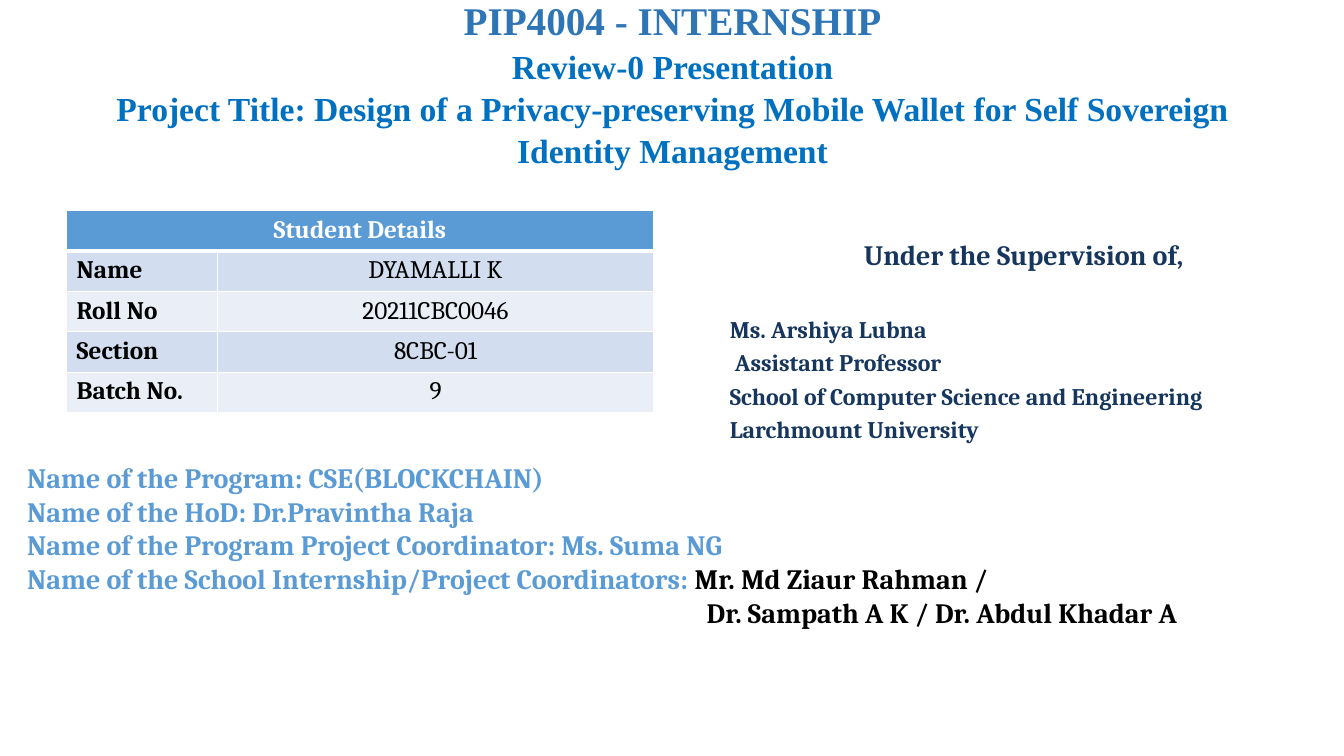
from lxml.etree import SubElement
from pptx import Presentation
from pptx.dml.color import RGBColor
from pptx.enum.text import MSO_ANCHOR, PP_ALIGN
from pptx.oxml.ns import qn
from pptx.util import Inches, Pt

BODY_FONT, TITLE_FONT = "Cambria", "Times New Roman"
NAVY, SKY, BLACK, WHITE = "17365D", "5B9BD5", "000000", "FFFFFF"
HEADING_BLUE, TITLE_BLUE = "2E75B6", "0070C0"
BANDS = ["D2DEEF", "EAEFF7"]


def color(value):
    return RGBColor.from_string(value)


class SlideBuilder:
    """Places elements on one slide; lengths are percent of its size."""

    def __init__(self, deck):
        self.deck = deck
        self.slide = deck.slides.add_slide(deck.slide_layouts[6])

    def across(self, share):
        return round(self.deck.slide_width * share / 100)

    def down(self, share):
        return round(self.deck.slide_height * share / 100)

    def area(self, left, top, width, height):
        return self.across(left), self.down(top), self.across(width), self.down(height)

    def add_span(self, para, text, size, shade, font=BODY_FONT, bold=True):
        span = para.add_run()
        span.text = text
        span.font.name, span.font.size, span.font.bold = font, Pt(size), bold
        span.font.color.rgb = color(shade)

    def text(self, place, lines, font=BODY_FONT, anchor=MSO_ANCHOR.TOP, bottom=0.05):
        """Each line is (runs, options); each run is (text, size, colour)."""
        frame = self.slide.shapes.add_textbox(*self.area(*place)).text_frame
        frame.word_wrap, frame.vertical_anchor = True, anchor
        frame.margin_bottom = Inches(bottom)
        for index, (runs, options) in enumerate(lines):
            para = frame.add_paragraph() if index else frame.paragraphs[0]
            para.alignment = options.get("align", PP_ALIGN.LEFT)
            para.space_before = Pt(options.get("before", 0))
            para.line_spacing = options.get("spacing", 1.0)
            if "indent" in options:
                para._p.get_or_add_pPr().set("marL", str(self.across(options["indent"])))
            for run in runs:
                self.add_span(para, *run, font=font)

    def border(self, cell, **widths):
        properties = cell._tc.get_or_add_tcPr()
        for side in "LRTB":
            line = SubElement(properties, qn(f"a:ln{side}"), w=str(Pt(widths.get(side, 1))))
            fill = SubElement(line, qn("a:solidFill"))
            SubElement(fill, qn("a:srgbClr"), val=WHITE)

    def table(self, place, widths, heading, rows):
        grid = self.slide.shapes.add_table(len(rows) + 1, len(widths), *self.area(*place)).table
        for column, width in zip(grid.columns, widths):
            column.width = self.across(width)

        def fill_cell(cell, shade, **sides):
            self.border(cell, **sides)
            cell.fill.solid()
            cell.fill.fore_color.rgb = color(shade)

        # Header across all columns
        for cell in grid.rows[0].cells:
            fill_cell(cell, SKY, B=3)
        title = grid.cell(0, 0)
        title.merge(grid.cell(0, len(widths) - 1))
        para = title.text_frame.paragraphs[0]
        para.alignment = PP_ALIGN.CENTER
        self.add_span(para, heading, 18, WHITE)

        # Banded rows: bold label, centred value
        for row, texts in enumerate(rows, 1):
            for column, text in enumerate(texts):
                cell = grid.cell(row, column)
                fill_cell(cell, BANDS[(row - 1) % 2], T=3 if row == 1 else 1)
                para = cell.text_frame.paragraphs[0]
                para.alignment = PP_ALIGN.CENTER if column else PP_ALIGN.LEFT
                self.add_span(para, text, 18, BLACK, bold=column == 0)


def main():
    deck = Presentation()
    deck.slide_width, deck.slide_height = Inches(13.33), Inches(7.5)
    page = SlideBuilder(deck)
    centred = {"align": PP_ALIGN.CENTER}

    # Supervisor
    supervisor = ["Ms. Arshiya Lubna", " Assistant Professor",
                  "School of Computer Science and Engineering", "Larchmount University"]
    page.text(
        (53.56, 30.8, 45.24, 29.47),
        [([("Under the Supervision of,", 20, NAVY)], centred)]
        + [([(line, 17, NAVY)], {"before": 3.4 if index else 31})
           for index, line in enumerate(supervisor)])

    # Programme contacts
    contacts = ["Name of the Program: CSE(BLOCKCHAIN)",
                "Name of the HoD: Dr.Pravintha Raja",
                "Name of the Program Project Coordinator: Ms. Suma NG"]
    page.text(
        (1.28, 60.27, 100.5, 22.8),
        [([(line, 20, SKY)], {}) for line in contacts]
        + [([("Name of the School Internship/Project Coordinators: ", 20, SKY),
             ("Mr. Md Ziaur Rahman /", 20, BLACK)], {}),
           ([("Dr. Sampath A K / Dr. Abdul Khadar A", 20, BLACK)], {"indent": 50.56})])

    # Title
    titles = ["Review-0 Presentation",
              "Project Title: Design of a Privacy-preserving Mobile Wallet "
              "for Self Sovereign Identity Management"]
    page.text(
        (6.9, 1.87, 86.27, 22.8),
        [([("PIP4004 - INTERNSHIP", 28, HEADING_BLUE)], centred)]
        + [([(line, 24, TITLE_BLUE)], {**centred, "spacing": 1.05}) for line in titles],
        font=TITLE_FONT, anchor=MSO_ANCHOR.MIDDLE, bottom=0.38)

    # Student details
    page.table(
        (4.95, 27.87, 43.66, 26.67), [11.25, 32.41], "Student Details",
        [("Name", "DYAMALLI K"), ("Roll No", "20211CBC0046"),
         ("Section", "8CBC-01"), ("Batch No.", "9")])

    deck.save("out.pptx")


if __name__ == "__main__":
    main()
